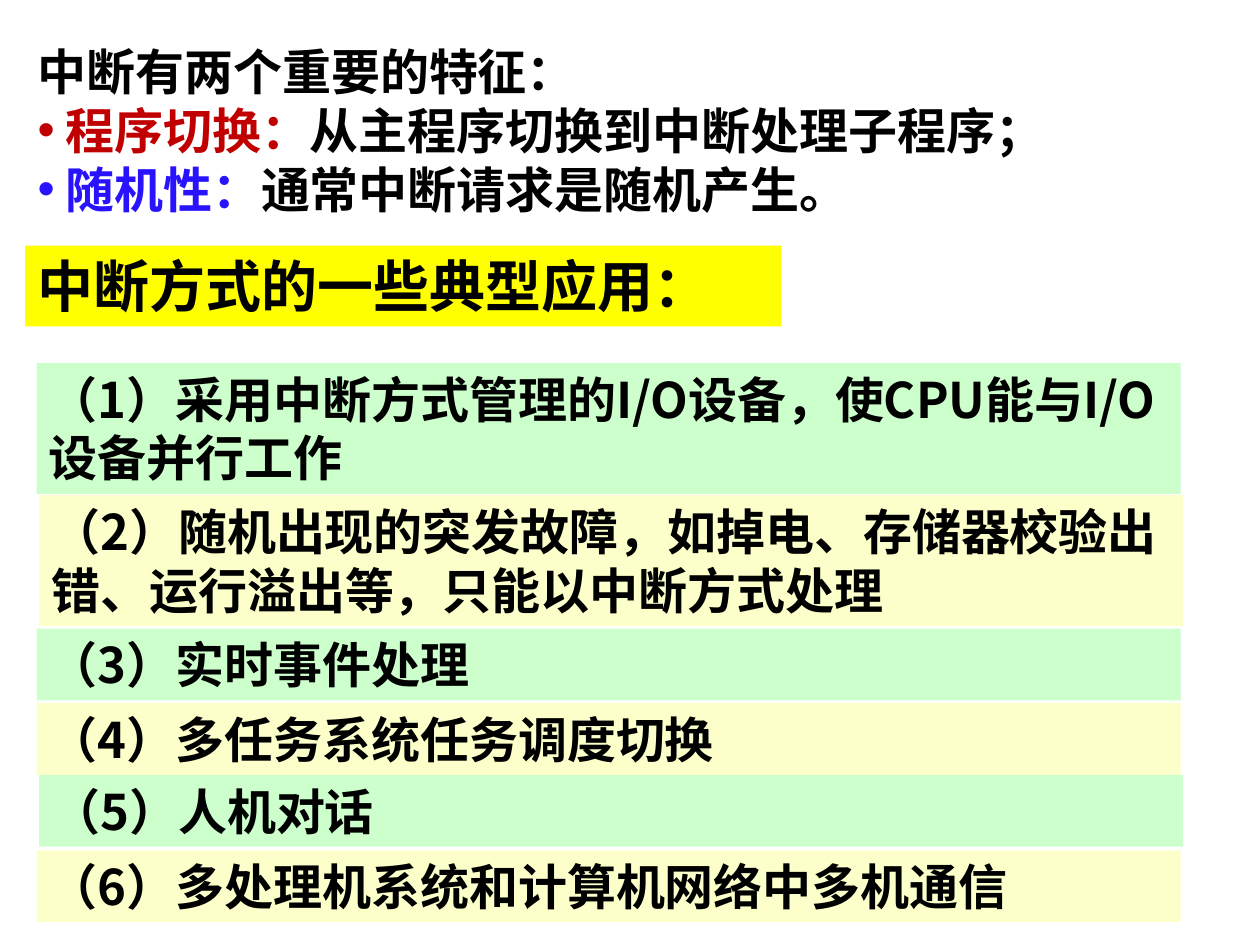
from dataclasses import dataclass

from lxml import etree
from pptx import Presentation
from pptx import util as u
from pptx.dml.color import RGBColor
from pptx.enum import shapes, text
from pptx.oxml.ns import qn

BLACK = RGBColor(0x00, 0x00, 0x00)
RED = RGBColor(0xC0, 0x00, 0x00)
BLUE = RGBColor(0x29, 0x13, 0xFD)
YELLOW = RGBColor(0xFF, 0xFF, 0x00)
GREEN = RGBColor(0xCC, 0xFF, 0xCC)
CREAM = RGBColor(0xFD, 0xFF, 0xCB)
CJK_FONT = "Noto Sans CJK SC"
BULLET_INDENT = u.Inches(0.22)


@dataclass
class Band:
    left: float
    top: float
    width: float
    height: float
    fill: RGBColor
    wording: str
    size: int = 28


@dataclass
class Feature:
    term: str
    detail: str
    color: RGBColor


HEADING = Band(0.2, 1.95, 6, 0.64, YELLOW, "中断方式的一些典型应用：", 32)

APPLICATIONS = [
    (0.29, 2.88, 1.04, "采用中断方式管理的I/O设备，使CPU能与I/O设备并行工作"),
    (0.31, 3.93, 1.04, "随机出现的突发故障，如掉电、存储器校验出错、运行溢出等，只能以中断方式处理"),
    (0.29, 4.99, 0.57, "实时事件处理"),
    (0.29, 5.58, 0.57, "多任务系统任务调度切换"),
    (0.31, 6.15, 0.57, "人机对话"),
    (0.29, 6.75, 0.57, "多处理机系统和计算机网络中多机通信"),
]

FEATURES = [
    Feature("程序切换：", "从主程序切换到中断处理子程序；", RED),
    Feature("随机性：", "通常中断请求是随机产生。", BLUE),
]


def format_span(span, size: int, color: RGBColor, font: str) -> None:
    span.font.size = u.Pt(size)
    span.font.bold = True
    span.font.name = font
    span.font.color.rgb = color
    east_asian = etree.SubElement(span._r.get_or_add_rPr(), qn("a:ea"))
    east_asian.set("typeface", CJK_FONT)


def add_bullet(para, color: RGBColor) -> None:
    properties = para._p.get_or_add_pPr()
    properties.set("marL", str(BULLET_INDENT))
    properties.set("indent", str(-BULLET_INDENT))
    bullet_color = etree.SubElement(properties, qn("a:buClr"))
    etree.SubElement(bullet_color, qn("a:srgbClr")).set("val", str(color))
    etree.SubElement(properties, qn("a:buFont")).set("typeface", "Arial")
    etree.SubElement(properties, qn("a:buChar")).set("char", "•")


def draw_band(page, band: Band) -> None:
    box = page.shapes.add_shape(
        shapes.MSO_SHAPE.RECTANGLE,
        u.Inches(band.left), u.Inches(band.top),
        u.Inches(band.width), u.Inches(band.height),
    )
    box.shadow.inherit = False
    box.fill.solid()
    box.fill.fore_color.rgb = band.fill
    box.line.fill.background()
    frame = box.text_frame
    frame.word_wrap = True
    frame.vertical_anchor = text.MSO_ANCHOR.TOP
    frame.text = band.wording
    para = frame.paragraphs[0]
    para.alignment = text.PP_ALIGN.LEFT
    format_span(para.runs[0], band.size, BLACK, CJK_FONT)


def draw_features(page, title: str, features: list[Feature]) -> None:
    box = page.shapes.add_textbox(
        u.Inches(0.2), u.Inches(0.28), u.Inches(9.32), u.Inches(1.5)
    )
    frame = box.text_frame
    frame.word_wrap = True
    frame.text = title
    format_span(frame.paragraphs[0].runs[0], 28, BLACK, "Arial")
    for feature in features:
        para = frame.add_paragraph()
        add_bullet(para, feature.color)
        for wording, color in ((feature.term, feature.color), (feature.detail, BLACK)):
            span = para.add_run()
            span.text = wording
            format_span(span, 28, color, "Arial")


def main() -> None:
    deck = Presentation()
    deck.slide_width = u.Inches(10)
    deck.slide_height = u.Inches(7.5)
    page = deck.slides.add_slide(deck.slide_layouts[6])
    draw_features(page, "中断有两个重要的特征：", FEATURES)
    draw_band(page, HEADING)
    for number, (left, top, height, wording) in enumerate(APPLICATIONS, start=1):
        fill = GREEN if number % 2 else CREAM
        draw_band(page, Band(left, top, 9.08, height, fill, f"（{number}）{wording}"))
    deck.save("out.pptx")


if __name__ == "__main__":
    main()
